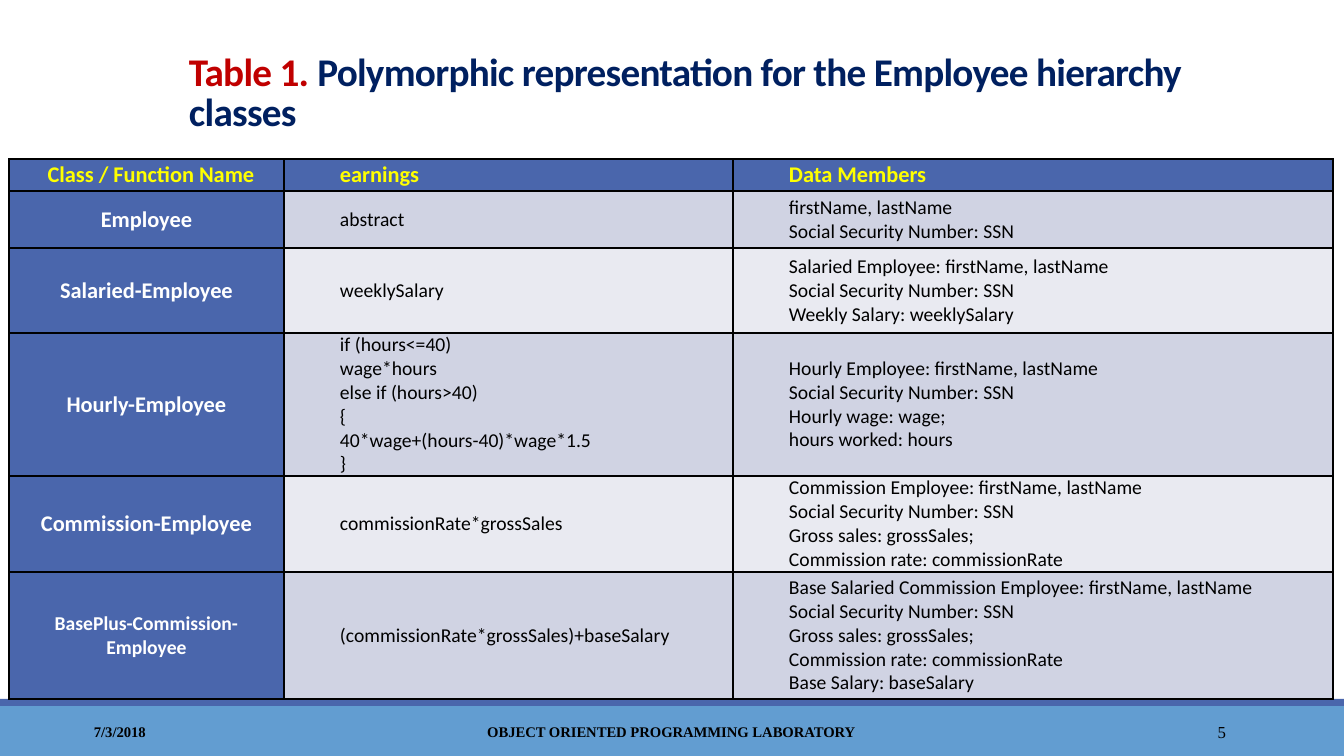
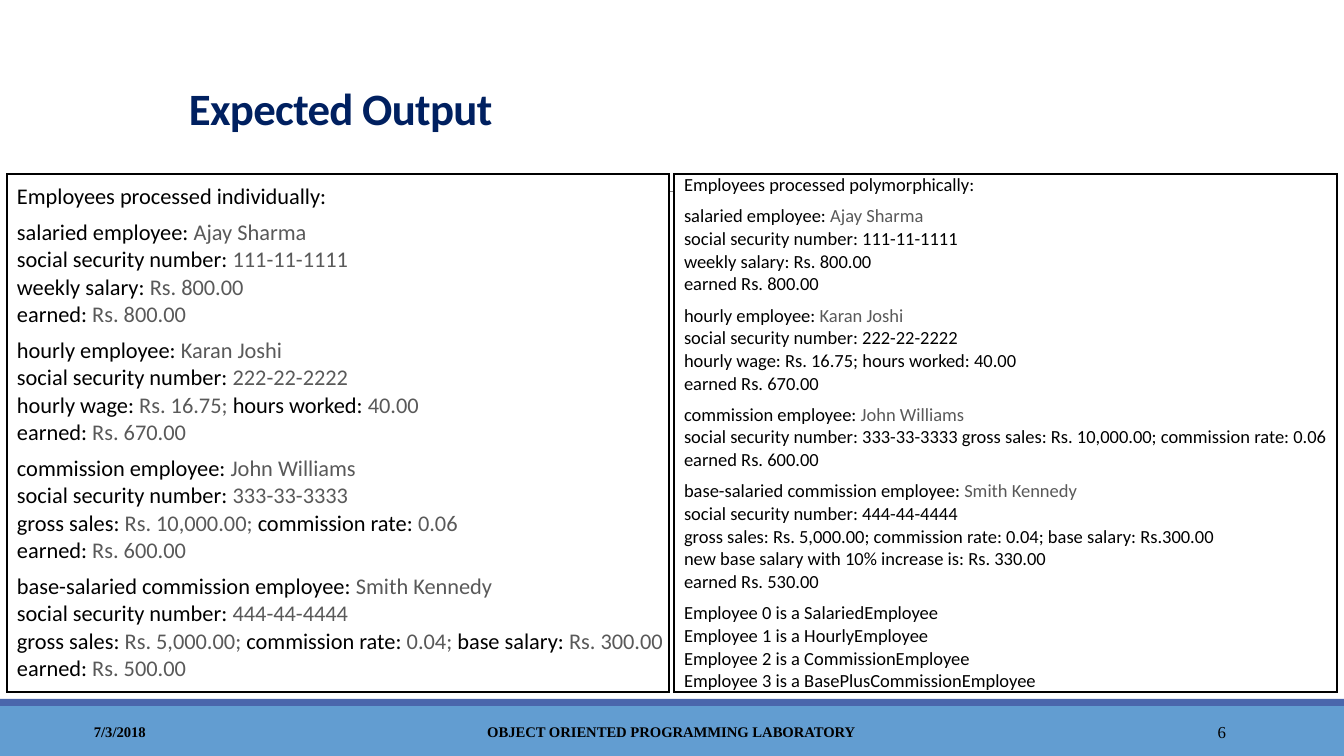
import dataclasses
import lxml.etree
import pptx
import pptx.dml.color
import pptx.enum.shapes
import pptx.enum.text
import pptx.oxml
import pptx.oxml.ns
import pptx.util
from typing import Any

SCALE = 914400 / 100.8
WIDE, HIGH = 1344, 756
BLUE, SKY, NAVY, RED = "4A66AC", "629DD1", "002060", "C00000"
BLACK, WHITE, GREY, DIM, YELLOW = "000000", "FFFFFF", "595959", "808080", "FFFF00"
BANDS = ("D0D3E3", "E9EAF1")
SANS, SERIF = "Calibri", "Times New Roman"
ALIGN = pptx.enum.text.PP_ALIGN
MIDDLE = pptx.enum.text.MSO_ANCHOR.MIDDLE
BOTTOM = pptx.enum.text.MSO_ANCHOR.BOTTOM


@dataclasses.dataclass(frozen=True)
class Box:
    left: int
    top: int
    width: int
    height: int


@dataclasses.dataclass(frozen=True)
class Style:
    size: float
    color: str = BLACK
    bold: bool = False
    font: str = SANS
    track: int = 0


@dataclasses.dataclass(frozen=True)
class Line:
    runs: list[tuple[str, Style]]
    align: Any = ALIGN.JUSTIFY
    indent: int = 0
    after: int = 0
    space: float = 1.0


@dataclasses.dataclass(frozen=True)
class Cell:
    lines: list[Line]
    fill: str
    inset: int


@dataclasses.dataclass(frozen=True)
class Panel:
    box: Box
    size: float
    groups: list[str]


def px(count: float) -> int:
    return round(count * SCALE)


def place(box: Box) -> list[int]:
    return [px(side) for side in dataclasses.astuple(box)]


def tint(code: str) -> pptx.dml.color.RGBColor:
    return pptx.dml.color.RGBColor.from_string(code)


def write(frame: Any, lines: list[Line]) -> None:
    for order, line in enumerate(lines):
        para = frame.add_paragraph() if order else frame.paragraphs[0]
        para.alignment = line.align
        para.line_spacing = line.space
        para.space_after = pptx.util.Pt(line.after)
        props = para._p.get_or_add_pPr()
        props.set("marL", str(px(line.indent)))
        props.set("indent", "0")
        for words, style in line.runs:
            run = para.add_run()
            run.text = words
            run.font.name = style.font
            run.font.size = pptx.util.Pt(style.size)
            run.font.bold = style.bold
            run.font.color.rgb = tint(style.color)
            if style.track:
                run._r.get_or_add_rPr().set("spc", str(style.track))


def add_text(slide: Any, box: Box, line: Line, anchor: Any = MIDDLE) -> None:
    frame = slide.shapes.add_textbox(*place(box)).text_frame
    frame.word_wrap = True
    frame.vertical_anchor = anchor
    write(frame, [line])


def add_band(slide: Any, box: Box, color: str) -> None:
    band = slide.shapes.add_shape(pptx.enum.shapes.MSO_SHAPE.RECTANGLE, *place(box))
    band.shadow.inherit = False
    band.fill.solid()
    band.fill.fore_color.rgb = tint(color)
    band.line.fill.background()


def add_rule(slide: Any, left: int, right: int, top: int) -> None:
    rule = slide.shapes.add_connector(
        pptx.enum.shapes.MSO_CONNECTOR.STRAIGHT, px(left), px(top), px(right), px(top))
    rule.line.color.rgb = tint(DIM)
    rule.line.width = pptx.util.Pt(0.5)
    lxml.etree.SubElement(rule._element.spPr, pptx.oxml.ns.qn("a:effectLst"))


def edge(cell: Any) -> None:
    props = cell._tc.get_or_add_tcPr()
    for order, side in enumerate(("lnL", "lnR", "lnT", "lnB")):
        props.insert(order, pptx.oxml.parse_xml(
            f'<a:{side} {pptx.oxml.ns.nsdecls("a")} w="12700"><a:solidFill>'
            f'<a:srgbClr val="{BLACK}"/></a:solidFill></a:{side}>'))


def add_grid(slide: Any, left: int, top: int, cols: list[int], rows: list[int],
             cells: list[list[Cell]]) -> None:
    box = Box(left, top, sum(cols), sum(rows))
    table = slide.shapes.add_table(len(rows), len(cols), *place(box)).table
    table.first_row = table.horz_banding = False
    for col, width in zip(table.columns, cols):
        col.width = px(width)
    for row, height, items in zip(table.rows, rows, cells):
        row.height = px(height)
        for cell, item in zip(row.cells, items):
            cell.margin_left = cell.margin_right = px(item.inset)
            cell.margin_top = cell.margin_bottom = 0
            cell.vertical_anchor = MIDDLE
            cell.fill.solid()
            cell.fill.fore_color.rgb = tint(item.fill)
            edge(cell)
            write(cell.text_frame, item.lines)


def add_page(deck: Any, number: int, title: list[tuple[str, Style]]) -> Any:
    slide = deck.slides.add_slide(deck.slide_layouts[6])
    add_band(slide, Box(0, 706, WIDE, 50), SKY)
    add_band(slide, Box(0, 699, WIDE, 7), BLUE)
    add_rule(slide, 132, 1231, 191)
    add_text(slide, Box(179, 70, 1094, 70), Line(title, ALIGN.LEFT, space=0.85), BOTTOM)
    strong = Style(10.5, bold=True, font=SERIF)
    plain = Style(12, font=SERIF)
    for left, width, words, style, align in (
            (84, 302, "7/3/2018", strong, ALIGN.LEFT),
            (1092, 144, str(number), plain, ALIGN.RIGHT),
            (406, 531, "OBJECT ORIENTED PROGRAMMING LABORATORY", strong, ALIGN.CENTER)):
        add_text(slide, Box(left, 712, width, 40), Line([(words, style)], align))
    return slide


HEADS = ("Class / Function Name", "earnings", "Data Members")
SSN = "Social Security Number: SSN"
STAFF = [
    ("Employee", 16, "abstract", f"firstName, lastName\n{SSN}"),
    ("Salaried-Employee", 16, "weeklySalary",
     f"Salaried Employee: firstName, lastName\n{SSN}\nWeekly Salary: weeklySalary"),
    ("Hourly-Employee", 16,
     "if (hours<=40)\nwage*hours\nelse if (hours>40)\n{\n40*wage+(hours-40)*wage*1.5\n}",
     f"Hourly Employee: firstName, lastName\n{SSN}\nHourly wage: wage;\nhours worked: hours"),
    ("Commission-Employee", 16, "commissionRate*grossSales",
     f"Commission Employee: firstName, lastName\n{SSN}\nGross sales: grossSales;\n"
     "Commission rate: commissionRate"),
    ("BasePlus-Commission-Employee", 14, "(commissionRate*grossSales)+baseSalary",
     f"Base Salaried Commission Employee: firstName, lastName\n{SSN}\n"
     "Gross sales: grossSales;\nCommission rate: commissionRate\nBase Salary: baseSalary"),
]

PANELS = [
    Panel(Box(7, 174, 662, 518), 16, [
        "Employees processed individually:",
        "salaried employee: |Ajay Sharma\nsocial security number: |111-11-1111\n"
        "weekly salary: |Rs. 800.00\nearned: |Rs. 800.00",
        "hourly employee: |Karan Joshi\nsocial security number: |222-22-2222\n"
        "hourly wage: |Rs. 16.75; |hours worked: |40.00\nearned: |Rs. 670.00",
        "commission employee: |John Williams\nsocial security number: |333-33-3333\n"
        "gross sales: |Rs. 10,000.00; |commission rate: |0.06\nearned: |Rs. 600.00",
        "base-salaried commission employee: |Smith Kennedy\n"
        "social security number: |444-44-4444\n"
        "gross sales: |Rs. 5,000.00; |commission rate: |0.04; |base salary: |Rs. 300.00\n"
        "earned: |Rs. 500.00",
    ]),
    Panel(Box(674, 174, 663, 518), 13.2, [
        "Employees processed polymorphically:",
        "salaried employee: |Ajay Sharma\nsocial security number: 111-11-1111\n"
        "weekly salary: Rs. 800.00\nearned Rs. 800.00",
        "hourly employee: |Karan Joshi\nsocial security number: 222-22-2222\n"
        "hourly wage: Rs. 16.75; hours worked: 40.00\nearned Rs. 670.00",
        "commission employee: |John Williams\nsocial security number: 333-33-3333 "
        "gross sales: Rs. 10,000.00; commission rate: 0.06\nearned Rs. 600.00",
        "base-salaried commission employee: |Smith Kennedy\n"
        "social security number: 444-44-4444\n"
        "gross sales: Rs. 5,000.00; commission rate: 0.04; base salary: Rs.300.00\n"
        "new base salary with 10% increase is: Rs. 330.00\nearned Rs. 530.00",
        "Employee 0 is a SalariedEmployee\nEmployee 1 is a HourlyEmployee\n"
        "Employee 2 is a CommissionEmployee\nEmployee 3 is a BasePlusCommissionEmployee",
    ]),
]


def label(words: str, style: Style, indent: int = 0) -> Cell:
    align = ALIGN.JUSTIFY if indent == 50 else ALIGN.CENTER
    return Cell([Line([(words, style)], align, indent)], BLUE, 6)


def body(words: str, fill: str) -> Cell:
    return Cell([Line([(part, Style(14))], indent=50) for part in words.split("\n")], fill, 6)


def staff_cells() -> list[list[Cell]]:
    head = Style(16, YELLOW, True)
    cells = [[label(words, head, indent) for words, indent in zip(HEADS, (9, 50, 50))]]
    for order, (name, size, pay, data) in enumerate(STAFF):
        fill = BANDS[order % 2]
        cells.append([label(name, Style(size, WHITE, True)), body(pay, fill), body(data, fill)])
    return cells


def panel_lines(panel: Panel) -> list[Line]:
    styles = (Style(panel.size), Style(panel.size, GREY))
    lines = []
    for group in panel.groups:
        rows = group.split("\n")
        for order, row in enumerate(rows, 1):
            runs = [(part, styles[spot % 2]) for spot, part in enumerate(row.split("|"))]
            last = order == len(rows) and group is not panel.groups[-1]
            lines.append(Line(runs, indent=9, after=6 if last else 0))
    return lines


def main() -> None:
    deck = pptx.Presentation()
    deck.slide_width, deck.slide_height = px(WIDE), px(HIGH)

    slide = add_page(deck, 5, [
        ("Table 1. ", Style(28, RED, True, track=-50)),
        ("Polymorphic representation for the Employee hierarchy classes",
         Style(28, NAVY, True, track=-50))])
    add_grid(slide, 9, 159, [275, 449, 600], [32, 57, 85, 143, 96, 127], staff_cells())

    slide = add_page(deck, 6, [("Expected Output", Style(32, NAVY, True, track=-50))])
    for panel in PANELS:
        box = panel.box
        cell = Cell(panel_lines(panel), WHITE, 1)
        add_grid(slide, box.left, box.top, [box.width], [box.height], [[cell]])

    deck.save("out.pptx")


main()
